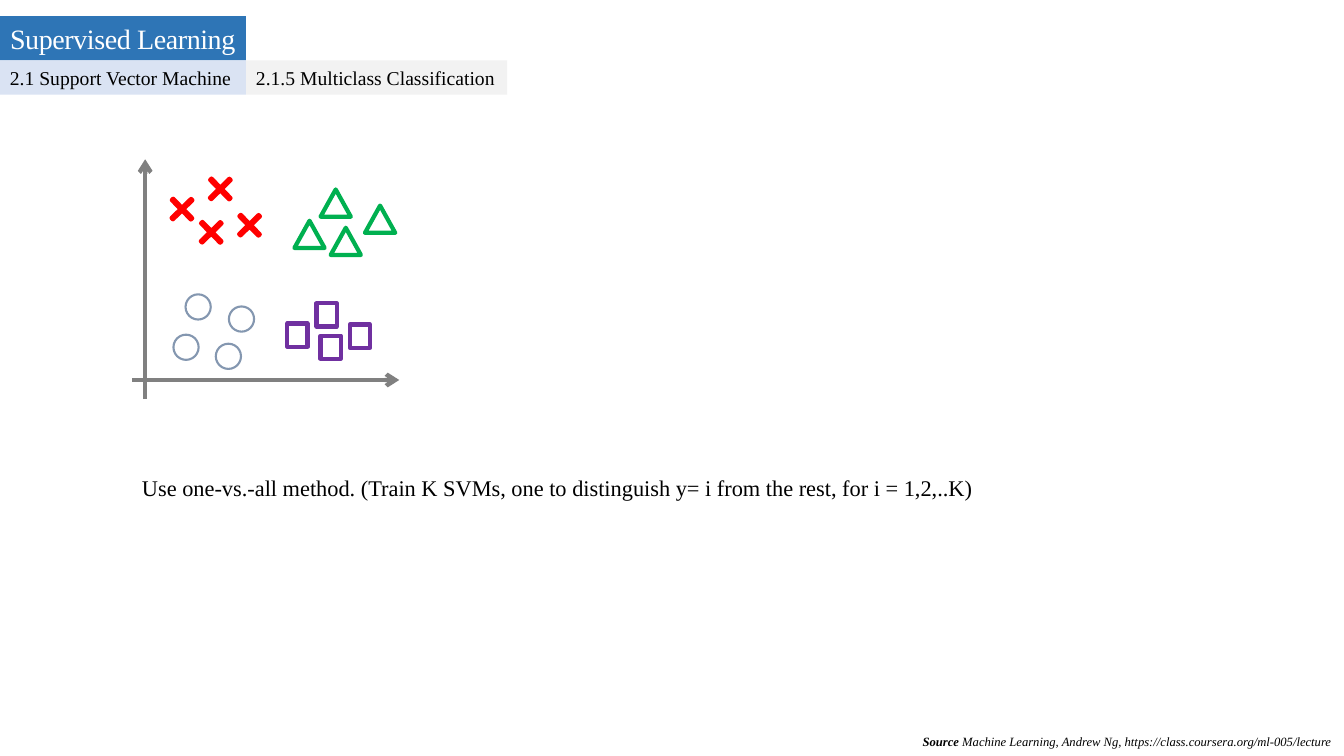
from dataclasses import dataclass

import pptx
import pptx.dml.color
import pptx.enum.shapes
import pptx.enum.text
import pptx.oxml
import pptx.oxml.ns
import pptx.util

Inches = pptx.util.Inches
Shape = pptx.enum.shapes.MSO_SHAPE
Align = pptx.enum.text.PP_ALIGN

FONT = "Times New Roman"
HUES = {
    "black": "000000",
    "white": "FFFFFF",
    "red": "FF0000",
    "green": "00B050",
    "purple": "7030A0",
    "slate": "8497B0",
    "gray": "808080",
    "blue": "2E75B6",
    "pale": "DAE3F3",
    "light": "F2F2F2",
}


@dataclass
class Cluster:
    kind: Shape
    hue: str
    width: float
    height: float
    spots: list[tuple[float, float]]
    weight: float = 3
    turn: float = 0


@dataclass
class Axis:
    start: tuple[float, float]
    end: tuple[float, float]


@dataclass
class Piece:
    text: str
    bold: bool = False
    italic: bool = False


@dataclass
class Tab:
    text: str
    left: float
    width: float
    fill: str


@dataclass
class Note:
    pieces: list[Piece]
    box: tuple[float, float, float, float]
    size: int
    align: Align = Align.LEFT
    space: float = 1


CLUSTERS = [
    Cluster(Shape.CROSS, "red", 0.27, 0.27,
            [(1.67, 1.94), (1.96, 2.17), (2.05, 1.74), (2.34, 2.1)], turn=45.6),
    Cluster(Shape.RECTANGLE, "purple", 0.2, 0.23,
            [(3.14, 3.01), (3.18, 3.33), (3.47, 3.22), (2.85, 3.21)]),
    Cluster(Shape.ISOSCELES_TRIANGLE, "green", 0.3, 0.27,
            [(3.18, 1.88), (2.92, 2.19), (3.28, 2.26), (3.62, 2.04)]),
    Cluster(Shape.OVAL, "slate", 0.25, 0.25,
            [(1.84, 2.92), (2.14, 3.41), (1.72, 3.32), (2.27, 3.04)], weight=1.5),
]
AXES = [Axis((1.44, 3.96), (1.44, 1.58)), Axis((1.31, 3.77), (3.96, 3.77))]
TABS = [
    Tab("2.1 Support Vector Machine", 0, 2.44, "pale"),
    Tab("2.1.5 Multiclass Classification", 2.44, 2.59, "light"),
]
NOTES = [
    Note([Piece("Use one-vs.-all method. (Train K SVMs, one to distinguish "
                "y= i from the rest, for i = 1,2,..K)")],
         (1.31, 4.52, 10.92, 0.5), 16, space=1.5),
    Note([Piece("Source ", True, True),
          Piece("Machine Learning, Andrew Ng, "
                "https://class.coursera.org/ml-005/lecture ", False, True)],
         (8.91, 7.23, 4.42, 0.25), 9, Align.RIGHT),
]


def color(hue: str) -> pptx.dml.color.RGBColor:
    return pptx.dml.color.RGBColor.from_string(HUES[hue])


def paint(shape, hue: str) -> None:
    shape.fill.solid()
    shape.fill.fore_color.rgb = color(hue)


def write(shape, pieces: list[Piece], size: int, hue: str = "black",
          align: Align = Align.LEFT, space: float = 1) -> None:
    frame = shape.text_frame
    frame.word_wrap = True
    frame.auto_size = pptx.enum.text.MSO_AUTO_SIZE.NONE
    frame.vertical_anchor = pptx.enum.text.MSO_ANCHOR.TOP
    line = frame.paragraphs[0]
    line.alignment = align
    line.line_spacing = space
    for piece in pieces:
        run = line.add_run()
        run.text = piece.text
        run.font.name = FONT
        run.font.size = pptx.util.Pt(size)
        run.font.bold = piece.bold
        run.font.italic = piece.italic
        run.font.color.rgb = color(hue)


def draw_title(slide) -> None:
    title = slide.shapes.title
    title.left, title.top = Inches(0), Inches(0.16)
    title.width, title.height = Inches(2.44), Inches(0.44)
    paint(title, "blue")
    write(title, [Piece("Supervised Learning")], 20, "white")
    title.text_frame.margin_right = 0
    run = title.text_frame.paragraphs[0].runs[0]
    run.font._element.set("spc", "-30")


def draw_tab(slide, tab: Tab) -> None:
    shape = slide.shapes.add_shape(
        Shape.RECTANGLE, Inches(tab.left), Inches(0.6), Inches(tab.width), Inches(0.34))
    shape.shadow.inherit = False
    paint(shape, tab.fill)
    shape.line.fill.background()
    write(shape, [Piece(tab.text)], 14)
    shape.text_frame.margin_right = 0


def draw_axis(group, axis: Axis) -> None:
    ends = [Inches(value) for value in axis.start + axis.end]
    line = group.shapes.add_connector(pptx.enum.shapes.MSO_CONNECTOR.STRAIGHT, *ends)
    line.line.color.rgb = color("gray")
    line.line.width = pptx.util.Pt(3)
    space = pptx.oxml.ns.nsdecls("a")
    props = line._element.spPr
    props.get_or_add_ln().append(
        pptx.oxml.parse_xml(f'<a:tailEnd {space} type="arrow"/>'))
    props.append(pptx.oxml.parse_xml(f"<a:effectLst {space}/>"))


def draw_cluster(group, cluster: Cluster) -> None:
    for left, top in cluster.spots:
        mark = group.shapes.add_shape(
            cluster.kind, Inches(left), Inches(top),
            Inches(cluster.width), Inches(cluster.height))
        mark.shadow.inherit = False
        mark.rotation = cluster.turn
        mark.line.color.rgb = color(cluster.hue)
        mark.line.width = pptx.util.Pt(cluster.weight)
        if cluster.kind == Shape.CROSS:
            mark.adjustments[0] = 0.466
            paint(mark, "black")
        else:
            mark.fill.background()


def draw_note(slide, note: Note) -> None:
    box = slide.shapes.add_textbox(*[Inches(value) for value in note.box])
    write(box, note.pieces, note.size, align=note.align, space=note.space)


def main() -> None:
    deck = pptx.Presentation()
    deck.slide_width, deck.slide_height = Inches(13.33), Inches(7.5)
    slide = deck.slides.add_slide(deck.slide_layouts[5])
    draw_title(slide)
    for tab in TABS:
        draw_tab(slide, tab)
    plot = slide.shapes.add_group_shape()
    for axis in AXES:
        draw_axis(plot, axis)
    for cluster in CLUSTERS:
        draw_cluster(plot, cluster)
    for note in NOTES:
        draw_note(slide, note)
    deck.save("out.pptx")


if __name__ == "__main__":
    main()
